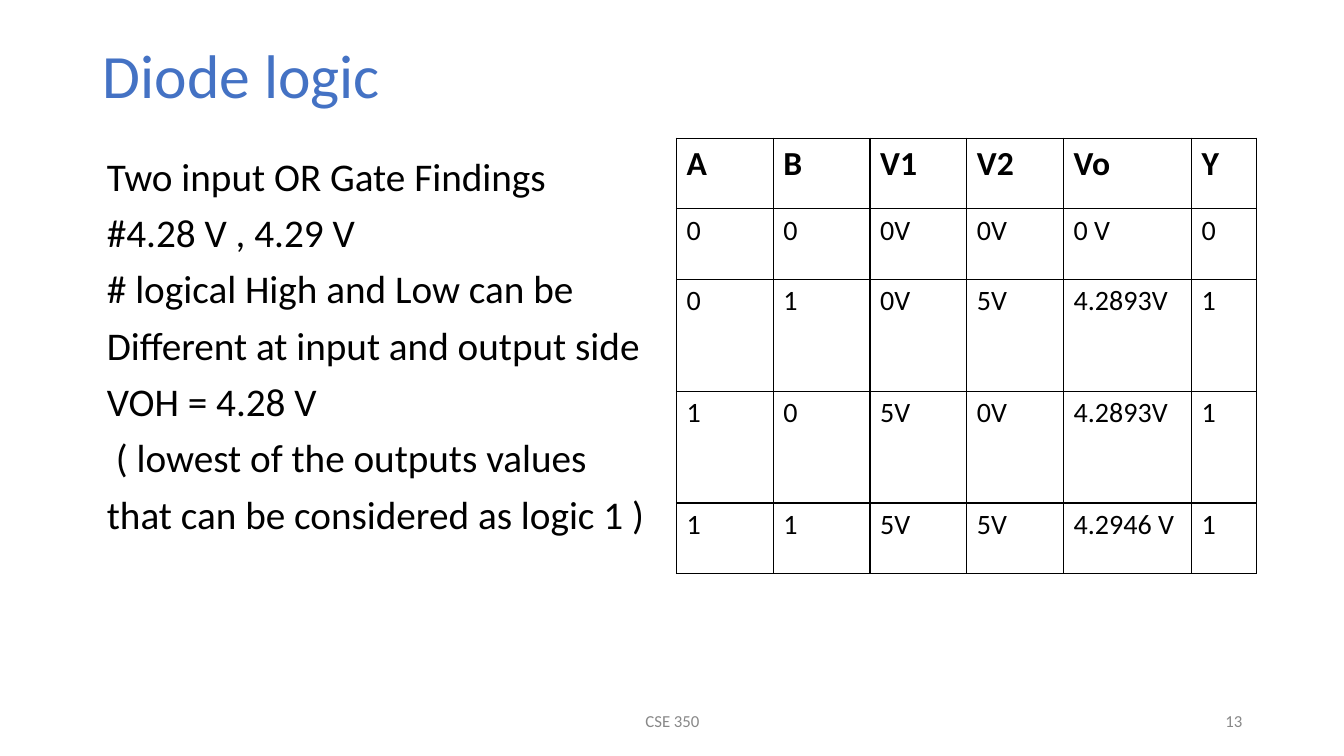
from dataclasses import dataclass

from lxml import etree
from pptx import Presentation
from pptx.dml.color import RGBColor
from pptx.enum.text import MSO_ANCHOR, MSO_AUTO_SIZE, PP_ALIGN
from pptx.oxml.ns import qn
from pptx.util import Inches, Pt

FONT = "Calibri"
BLACK, BLUE, GREY = "000000", "4472C4", "888888"


@dataclass(frozen=True)
class Style:
    size: float
    color: str = BLACK
    bold: bool = False


@dataclass(frozen=True)
class Box:
    left: float
    top: float
    width: float
    height: float


@dataclass(frozen=True)
class Footer:
    text: str
    box: Box
    align: PP_ALIGN


@dataclass(frozen=True)
class Finding:
    text: str
    indent: float = 0.12


TITLE_STYLE = Style(44, BLUE)
BODY_STYLE = Style(28)
HEADER_STYLE = Style(24, bold=True)
CELL_STYLE = Style(20)
FOOTER_STYLE = Style(12, GREY)

FINDINGS = [
    Finding("Two input OR Gate Findings"),
    Finding("#4.28 V , 4.29 V"),
    Finding("# logical High and Low can be"),
    Finding("Different at input and output side"),
    Finding("VOH = 4.28 V"),
    Finding("( lowest of the outputs values", 0.21),
    Finding("that can be considered as logic 1 )"),
]
FOOTERS = [
    Footer("CSE 350", Box(4.42, 6.95, 4.5, 0.4), PP_ALIGN.CENTER),
    Footer("13", Box(9.42, 6.95, 3, 0.4), PP_ALIGN.RIGHT),
]
TRUTH_TABLE = [
    ["A", "B", "V1", "V2", "Vo", "Y"],
    ["0", "0", "0V", "0V", "0 V", "0"],
    ["0", "1", "0V", "5V", "4.2893V", "1"],
    ["1", "0", "5V", "0V", "4.2893V", "1"],
    ["1", "1", "5V", "5V", "4.2946 V", "1"],
]
TABLE_BOX = Box(6.71, 1.37, 5.73, 4.32)
COLUMN_WIDTHS = [0.96] * 4 + [1.27, 0.64]
ROW_HEIGHTS = [0.7, 0.7, 1.11, 1.11, 0.7]


def to_rgb(color: str) -> RGBColor:
    return RGBColor.from_string(color)


def to_inches(box: Box) -> tuple:
    return tuple(map(Inches, (box.left, box.top, box.width, box.height)))


def add_run(paragraph, text: str, style: Style) -> None:
    run = paragraph.add_run()
    run.text = text
    run.font.name = FONT
    run.font.size = Pt(style.size)
    run.font.bold = style.bold
    run.font.color.rgb = to_rgb(style.color)


def prepare_frame(shape, box: Box, anchor: MSO_ANCHOR):
    shape.left, shape.top, shape.width, shape.height = to_inches(box)
    frame = shape.text_frame
    frame.word_wrap = True
    frame.auto_size = MSO_AUTO_SIZE.NONE
    frame.vertical_anchor = anchor
    return frame


def add_title(slide, text: str) -> None:
    frame = prepare_frame(slide.shapes.title, Box(0.92, 0.4, 11.5, 0.76), MSO_ANCHOR.MIDDLE)
    paragraph = frame.paragraphs[0]
    paragraph.alignment = PP_ALIGN.LEFT
    paragraph.line_spacing = 0.9
    add_run(paragraph, text, TITLE_STYLE)


def add_findings(slide, findings: list[Finding]) -> None:
    frame = prepare_frame(slide.placeholders[1], Box(0.84, 1.51, 11.58, 5.16), MSO_ANCHOR.TOP)
    for index, finding in enumerate(findings):
        paragraph = frame.add_paragraph() if index else frame.paragraphs[0]
        properties = paragraph._p.get_or_add_pPr()
        properties.set("marL", str(Inches(finding.indent)))
        properties.set("indent", "0")
        etree.SubElement(properties, qn("a:buNone"))
        paragraph.line_spacing = 0.9
        paragraph.space_before = Pt(10 if index else 0)
        add_run(paragraph, finding.text, BODY_STYLE)


def set_borders(cell, color: str, width: float) -> None:
    properties = cell._tc.get_or_add_tcPr()
    for index, side in enumerate(("lnL", "lnR", "lnT", "lnB")):
        line = etree.Element(qn(f"a:{side}"), w=str(Pt(width)))
        fill = etree.SubElement(line, qn("a:solidFill"))
        etree.SubElement(fill, qn("a:srgbClr"), val=color)
        properties.insert(index, line)


def add_truth_table(slide, rows: list[list[str]]) -> None:
    frame = slide.shapes.add_table(len(rows), len(rows[0]), *to_inches(TABLE_BOX))
    table = frame.table
    table.horz_banding = False
    for column, width in zip(table.columns, COLUMN_WIDTHS):
        column.width = Inches(width)
    for row, height in zip(table.rows, ROW_HEIGHTS):
        row.height = Inches(height)
    for row_index, values in enumerate(rows):
        style = CELL_STYLE if row_index else HEADER_STYLE
        for column_index, value in enumerate(values):
            cell = table.cell(row_index, column_index)
            cell.fill.background()
            set_borders(cell, BLACK, 1)
            add_run(cell.text_frame.paragraphs[0], value, style)


def add_footer(slide, footer: Footer) -> None:
    shape = slide.shapes.add_textbox(*to_inches(footer.box))
    frame = prepare_frame(shape, footer.box, MSO_ANCHOR.MIDDLE)
    paragraph = frame.paragraphs[0]
    paragraph.alignment = footer.align
    add_run(paragraph, footer.text, FOOTER_STYLE)


def main() -> None:
    presentation = Presentation()
    presentation.slide_width = Inches(13.33)
    presentation.slide_height = Inches(7.5)
    slide = presentation.slides.add_slide(presentation.slide_layouts[1])

    # Title and footers
    add_title(slide, "Diode logic")
    for footer in FOOTERS:
        add_footer(slide, footer)

    # Findings beside the truth table
    add_findings(slide, FINDINGS)
    add_truth_table(slide, TRUTH_TABLE)

    presentation.save("out.pptx")


if __name__ == "__main__":
    main()
